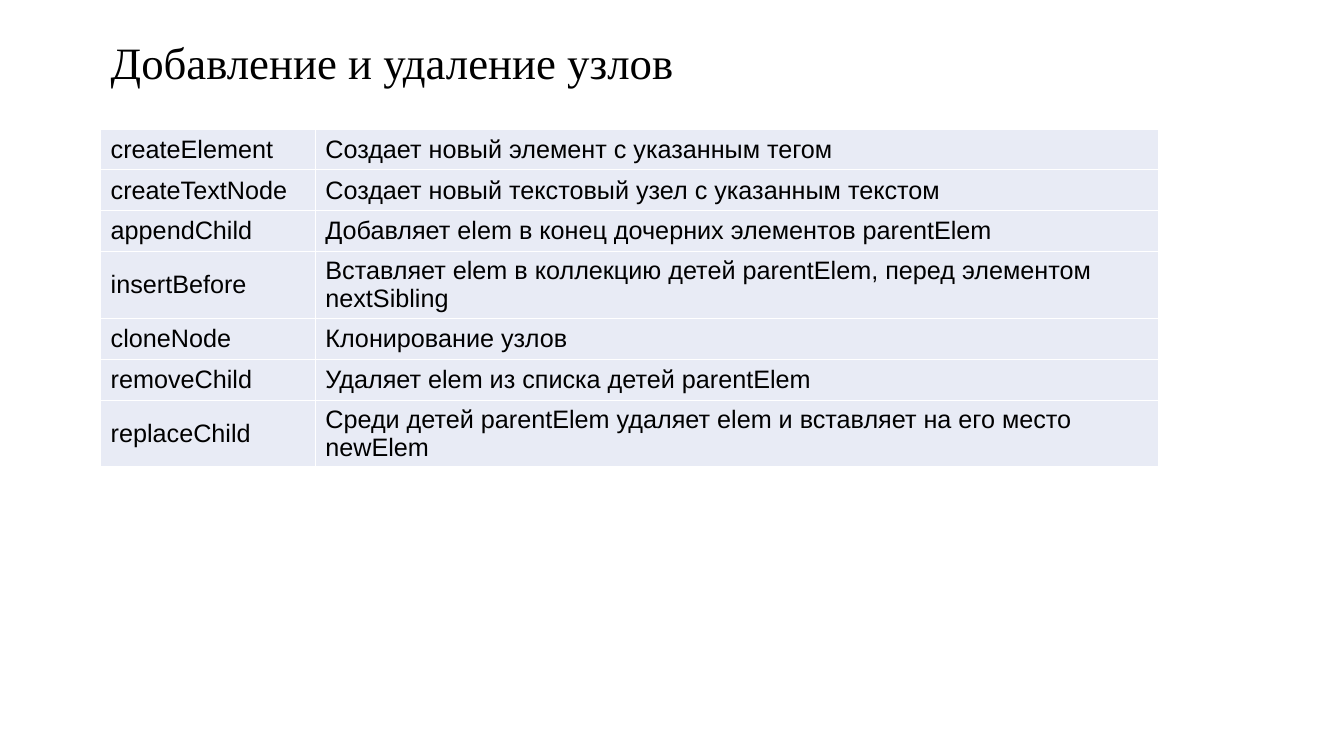
import pptx
import pptx.util
import pptx.dml.color
import pptx.enum.text
import pptx.oxml
import pptx.oxml.ns

Cm, Pt = pptx.util.Cm, pptx.util.Pt
RGB = pptx.dml.color.RGBColor.from_string
MIDDLE = pptx.enum.text.MSO_ANCHOR.MIDDLE

HEADING = "Добавление и удаление узлов"
METHODS = [
    ("createElement", "Создает новый элемент с указанным тегом"),
    ("createTextNode", "Создает новый текстовый узел с указанным текстом"),
    ("appendChild", "Добавляет elem в конец дочерних элементов parentElem"),
    ("insertBefore", "Вставляет elem в коллекцию детей parentElem, перед элементом nextSibling"),
    ("cloneNode", "Клонирование узлов"),
    ("removeChild", "Удаляет elem из списка детей parentElem"),
    ("replaceChild", "Среди детей parentElem удаляет elem и вставляет на его место newElem"),
]
COLORS = {"text": "000000", "cell": "E8EBF5", "border": "FFFFFF"}
HEADING_FONT = {"name": "Times New Roman", "size": Pt(32), "bold": False}
METHOD_FONT = {"name": "Arial", "size": Pt(18), "bold": False}
MARGINS = {"margin_left": Cm(0.25), "margin_right": Cm(0.25),
           "margin_top": Cm(0.13), "margin_bottom": Cm(0.13),
           "vertical_anchor": MIDDLE}
LEFT, HEADING_WIDTH, HEADING_HEIGHT = Cm(2.54), Cm(28.78), Cm(3.25)
COLUMN_WIDTHS = [Cm(5.41), Cm(21.24)]
ROW_HEIGHT = Cm(1.03)


def apply(target, values):
    for name, value in values.items():
        setattr(target, name, value)


def write(paragraph, text, font):
    run = paragraph.add_run()
    run.text = text
    apply(run.font, font)
    run.font.color.rgb = RGB(COLORS["text"])


def add_borders(cell):
    properties = cell._tc.get_or_add_tcPr()
    for side in ("lnL", "lnR", "lnT", "lnB"):
        properties.append(pptx.oxml.parse_xml(
            f'<a:{side} {pptx.oxml.ns.nsdecls("a")} w="{Pt(1)}"><a:solidFill>'
            f'<a:srgbClr val="{COLORS["border"]}"/></a:solidFill></a:{side}>'))


def main():
    deck = pptx.Presentation()
    apply(deck, {"slide_width": Cm(33.87), "slide_height": Cm(19.05)})
    slide = deck.slides.add_slide(deck.slide_layouts[5])

    heading = slide.shapes.title
    apply(heading, {"left": LEFT, "top": 0, "width": HEADING_WIDTH, "height": HEADING_HEIGHT})
    apply(heading.text_frame, MARGINS | {"word_wrap": True})
    heading_line = heading.text_frame.paragraphs[0]
    apply(heading_line, {"alignment": pptx.enum.text.PP_ALIGN.LEFT, "line_spacing": 0.9})
    write(heading_line, HEADING, HEADING_FONT)

    methods = slide.shapes.add_table(
        len(METHODS), len(COLUMN_WIDTHS), LEFT, HEADING_HEIGHT,
        sum(COLUMN_WIDTHS), ROW_HEIGHT * len(METHODS)).table
    apply(methods, {"first_row": False, "horz_banding": False})
    for column, width in zip(methods.columns, COLUMN_WIDTHS):
        column.width = width
    for row, texts in zip(methods.rows, METHODS):
        row.height = ROW_HEIGHT
        for cell, text in zip(row.cells, texts):
            apply(cell, MARGINS)
            add_borders(cell)
            cell.fill.solid()
            cell.fill.fore_color.rgb = RGB(COLORS["cell"])
            write(cell.text_frame.paragraphs[0], text, METHOD_FONT)

    deck.save("out.pptx")


if __name__ == "__main__":
    main()
